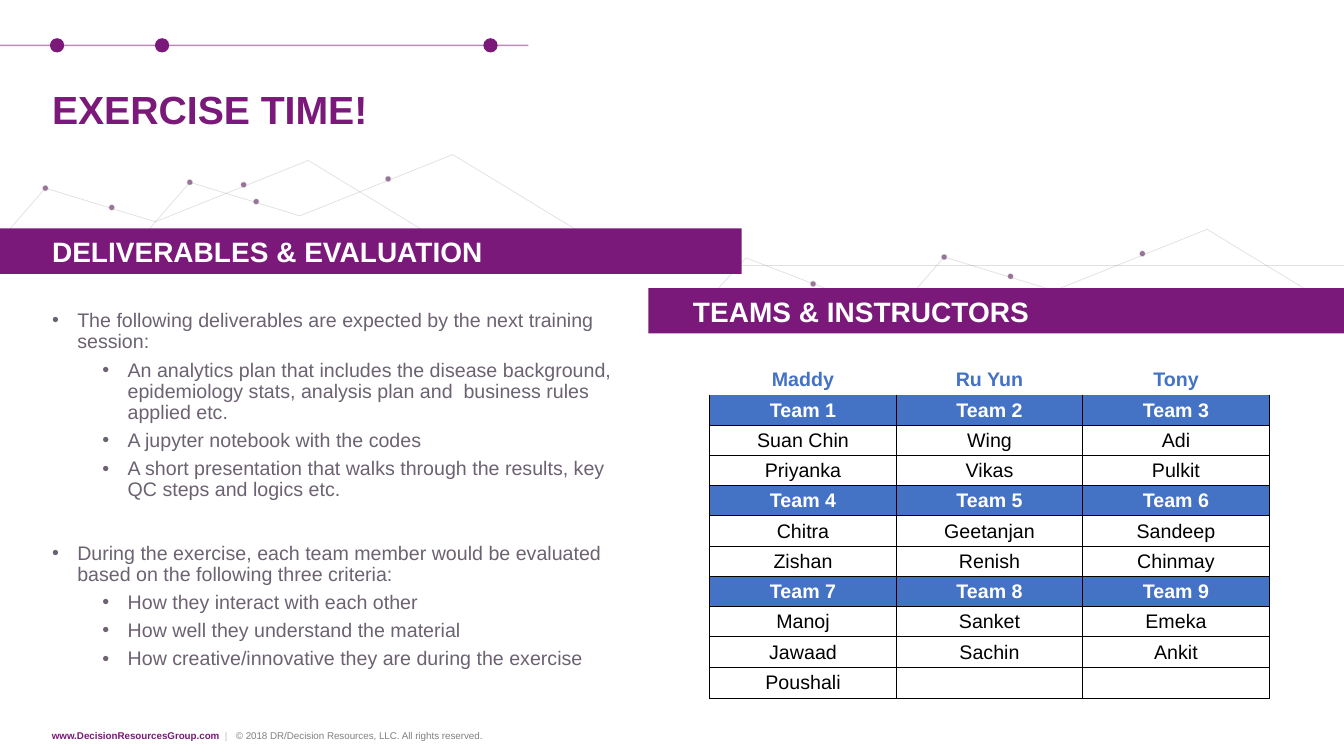
from itertools import pairwise

from lxml import etree
from pptx import Presentation
from pptx import util as u
from pptx.dml.color import RGBColor
from pptx.enum import shapes, text
from pptx.oxml import ns

COLS, ROWS = 160, 90  # square grid cells, twelve to the inch
PURPLE, MAUVE, GREY, SLATE, BLUE = "7A1979", "9C719D", "808080", "6C6271", "4472C4"
WHITE, BLACK = "FFFFFF", "000000"
MIDDLE, TOP = text.MSO_ANCHOR.MIDDLE, text.MSO_ANCHOR.TOP

BULLETS = [
    (0, "The following deliverables are expected by the next training session:"),
    (1, "An analytics plan that includes the disease background, epidemiology stats, "
        "analysis plan and  business rules applied etc."),
    (1, "A jupyter notebook with the codes"),
    (1, "A short presentation that walks through the results, key QC steps and logics etc."),
    (0, "During the exercise, each team member would be evaluated based on the "
        "following three criteria:"),
    (1, "How they interact with each other"),
    (1, "How well they understand the material"),
    (1, "How creative/innovative they are during the exercise"),
]
TEAMS = [
    ("Maddy", "Ru Yun", "Tony"),
    ("Team 1", "Team 2", "Team 3"),
    ("Suan Chin", "Wing", "Adi"),
    ("Priyanka", "Vikas", "Pulkit"),
    ("Team 4", "Team 5", "Team 6"),
    ("Chitra", "Geetanjan", "Sandeep"),
    ("Zishan", "Renish", "Chinmay"),
    ("Team 7", "Team 8", "Team 9"),
    ("Manoj", "Sanket", "Emeka"),
    ("Jawaad", "Sachin", "Ankit"),
    ("Poushali", "", ""),
]


def grid(*cells):
    return [u.Emu(round(n * u.Inches(1) / 12)) for n in cells]


def rgb(color):
    return RGBColor.from_string(color)


def sub(parent, tag, **attrs):
    return etree.SubElement(parent, ns.qn(tag), attrs)


def style_line(line, color, width, alpha):
    line.color.rgb, line.width = rgb(color), u.Pt(width)
    clr = line.fill._xPr.find(".//" + ns.qn("a:srgbClr"))
    sub(clr, "a:alpha", val=str(alpha * 1000))


def draw_line(s, start, end, color=GREY, width=0.5, alpha=23):
    line = s.shapes.add_connector(shapes.MSO_CONNECTOR.STRAIGHT, *grid(*start, *end))
    style_line(line.line, color, width, alpha)
    sub(line._element.spPr, "a:effectLst")


def add_filled(s, kind, box, color):
    sp = s.shapes.add_shape(kind, *grid(*box))
    sp.shadow.inherit = False
    sp.fill.solid()
    sp.fill.fore_color.rgb = rgb(color)
    sp.line.fill.background()
    return sp


def draw_dot(s, x, y, size, color):
    """Draw a dot centred on a grid point."""
    box = x - size / 2, y - size / 2, size, size
    return add_filled(s, shapes.MSO_SHAPE.OVAL, box, color)


def small_dot(s, x, y):
    style_line(draw_dot(s, x, y, 0.6, MAUVE).line, GREY, 1, 23)


def write(p, words, size=14, color=BLACK, bold=False, align=text.PP_ALIGN.LEFT):
    """Append a formatted run to a paragraph."""
    p.alignment = align
    r = p.add_run()
    r.text = words
    f = r.font
    f.name, f.size, f.bold, f.color.rgb = "Arial", u.Pt(size), bold, rgb(color)


def set_frame(tf, anchor, left=1.2, top=0.6):
    tf.word_wrap, tf.vertical_anchor = True, anchor
    tf.margin_left, tf.margin_top = grid(left, top)
    return tf


def add_text(s, box, anchor=MIDDLE, **insets):
    return set_frame(s.shapes.add_textbox(*grid(*box)).text_frame, anchor, **insets)


def header(s, x, y, w):
    draw_line(s, (x, y), (x + w, y), PURPLE, 1, 50)
    for dx in (6.8, 58.4, 19.3):
        draw_dot(s, x + dx, y, 1.7, PURPLE)
    tf = add_text(s, (x + 6.2, y + 4.8, 147.6, 12), TOP, left=0, top=0)
    write(tf.paragraphs[0], "EXERCISE TIME!", 28, PURPLE, True)


def ridge(s, x, y, outline, dots):
    """Draw a zigzag and its dots, both relative to the first peak."""
    for start, end in pairwise((x + dx, y + dy) for dx, dy in outline):
        draw_line(s, start, end)
    for dx, dy in dots:
        small_dot(s, x + dx, y + dy)


def backdrop(s):
    ridge(s, 88.8, 30.7, [(-6.6, 7.3), (0, 0), (19, 7.3)], [(8, 3.1)])
    draw_line(s, (88.3, 31.6), (COLS, 31.6))
    outline = [(-5.3, 6.1), (0, 0), (13.1, 4), (31.3, -3.3), (47.4, 6.5)]
    for peak in ((5.4, 22.4), (22.6, 21.7), (112.4, 30.6)):
        ridge(s, *peak, outline, [(0, 0), (7.9, 2.3), (23.6, -0.4)])


def banner(s, box, words, inset):
    sp = add_filled(s, shapes.MSO_SHAPE.RECTANGLE, box, PURPLE)
    tf = set_frame(sp.text_frame, MIDDLE, left=inset)
    write(tf.paragraphs[0], words, 20, WHITE, True)


def deliverables(s, box):
    tf = add_text(s, box, TOP, left=0)
    for i, (level, words) in enumerate(BULLETS):
        p = tf.add_paragraph() if i else tf.paragraphs[0]
        pPr = p._p.get_or_add_pPr()
        left, hang = grid(9 if level else 3, -3)
        pPr.set("marL", str(left))
        pPr.set("indent", str(hang))
        sub(sub(pPr, "a:buClr"), "a:srgbClr", val=SLATE)
        sub(pPr, "a:buFont", typeface="Arial")
        sub(pPr, "a:buChar", char="•")
        p.level, p.line_spacing = level, 0.9
        if i:
            p.space_before = u.Pt(5 if level else 30)
        write(p, words, color=SLATE)


def set_borders(cell, sides):
    """Rule the named sides of a cell and clear the others."""
    tcPr = cell._tc.get_or_add_tcPr()
    for i, side in enumerate("LRTB"):
        ln = etree.Element(ns.qn(f"a:ln{side}"), w=str(u.Pt(0.5)))
        if side in sides:
            sub(sub(ln, "a:solidFill"), "a:srgbClr", val=BLACK)
        else:
            sub(ln, "a:noFill")
        tcPr.insert(i, ln)


def teams(s, box):
    table = s.shapes.add_table(len(TEAMS), len(TEAMS[0]), *grid(*box)).table
    table.first_row = table.horz_banding = False
    for i, names in enumerate(TEAMS):
        is_team = names[0].startswith("Team")
        color = BLUE if i == 0 else WHITE if is_team else BLACK
        for j, name in enumerate(names):
            cell = table.cell(i, j)
            cell.vertical_anchor = MIDDLE
            cell.margin_left = cell.margin_right = cell.margin_top = u.Inches(0.01)
            cell.margin_bottom = 0
            if is_team:
                cell.fill.solid()
                cell.fill.fore_color.rgb = rgb(BLUE)
            else:
                cell.fill.background()
            set_borders(cell, ("", "LRB")[i] if i < 2 else "LRTB")
            if name:
                write(cell.text_frame.paragraphs[0], name, color=color,
                      bold=i == 0 or is_team, align=text.PP_ALIGN.CENTER)


def footer(s, x, y, h):
    p = add_text(s, (x, y, 25.8, h)).paragraphs[0]
    write(p, "www.DecisionResourcesGroup.com  ", 7, PURPLE, True)
    write(p, "|", 7, "BFBFBF")
    p = add_text(s, (x + 21.9, y, 42.6, h)).paragraphs[0]
    write(p, "© 2018 DR/Decision Resources, LLC. All rights reserved.", 7, GREY)


def main():
    prs = Presentation()
    prs.slide_width, prs.slide_height = grid(COLS, ROWS)
    s = prs.slides.add_slide(prs.slide_layouts[6])
    header(s, 0, 5.4, 62.9)
    backdrop(s)
    banner(s, (77.2, 34.3, 82.8, 5.4), "TEAMS & INSTRUCTORS", 5.3)
    banner(s, (0, 27.2, 88.3, 5.4), "DELIVERABLES & EVALUATION", 6.2)
    deliverables(s, (6.2, 36.4, 68.5, 47))
    teams(s, (84.5, 43.4, 66.6, 39.6))
    footer(s, 5, 85.1, 4.9)
    prs.save("out.pptx")


if __name__ == "__main__":
    main()
